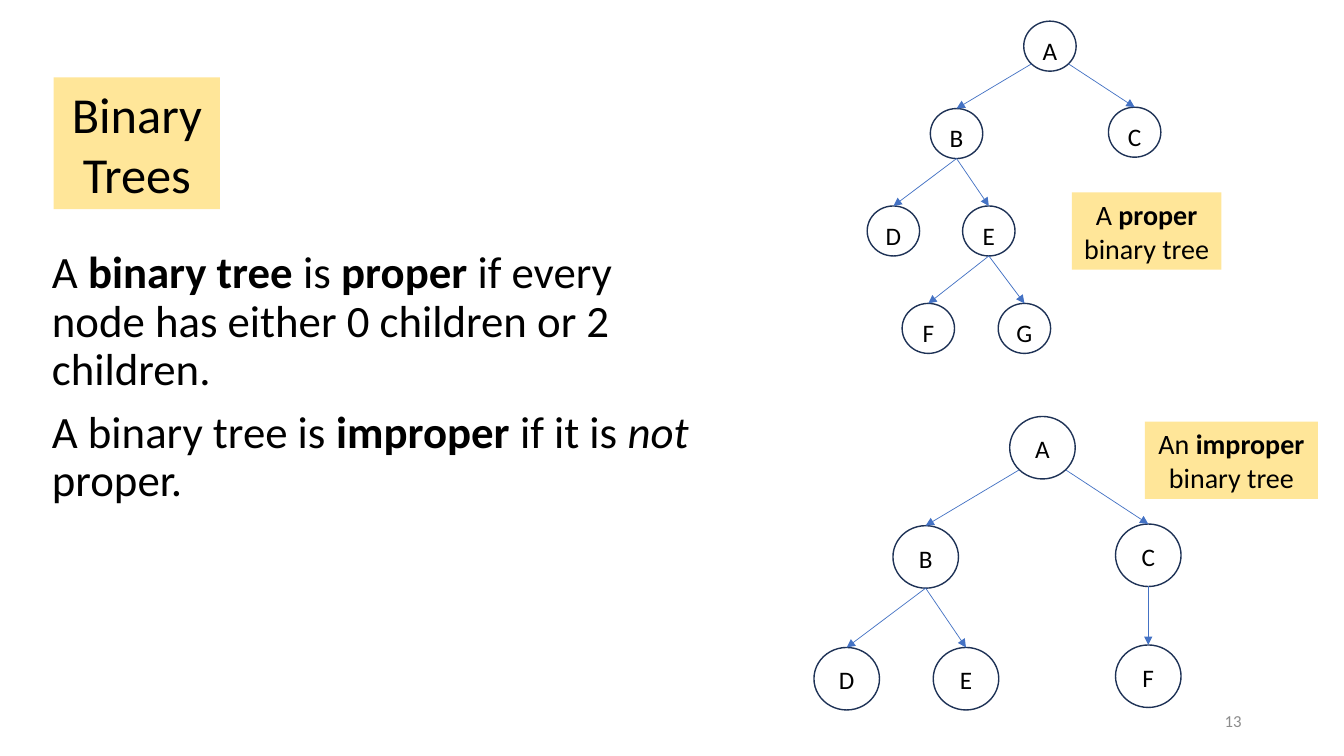
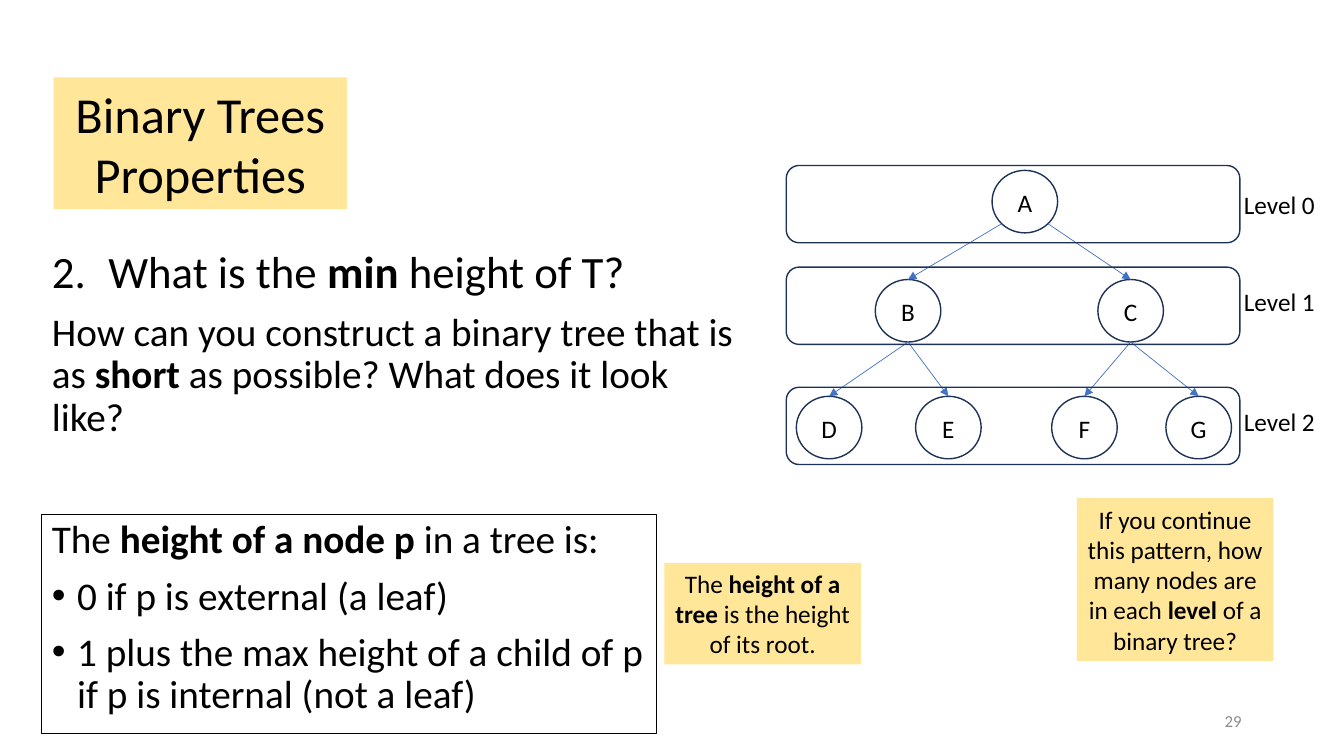
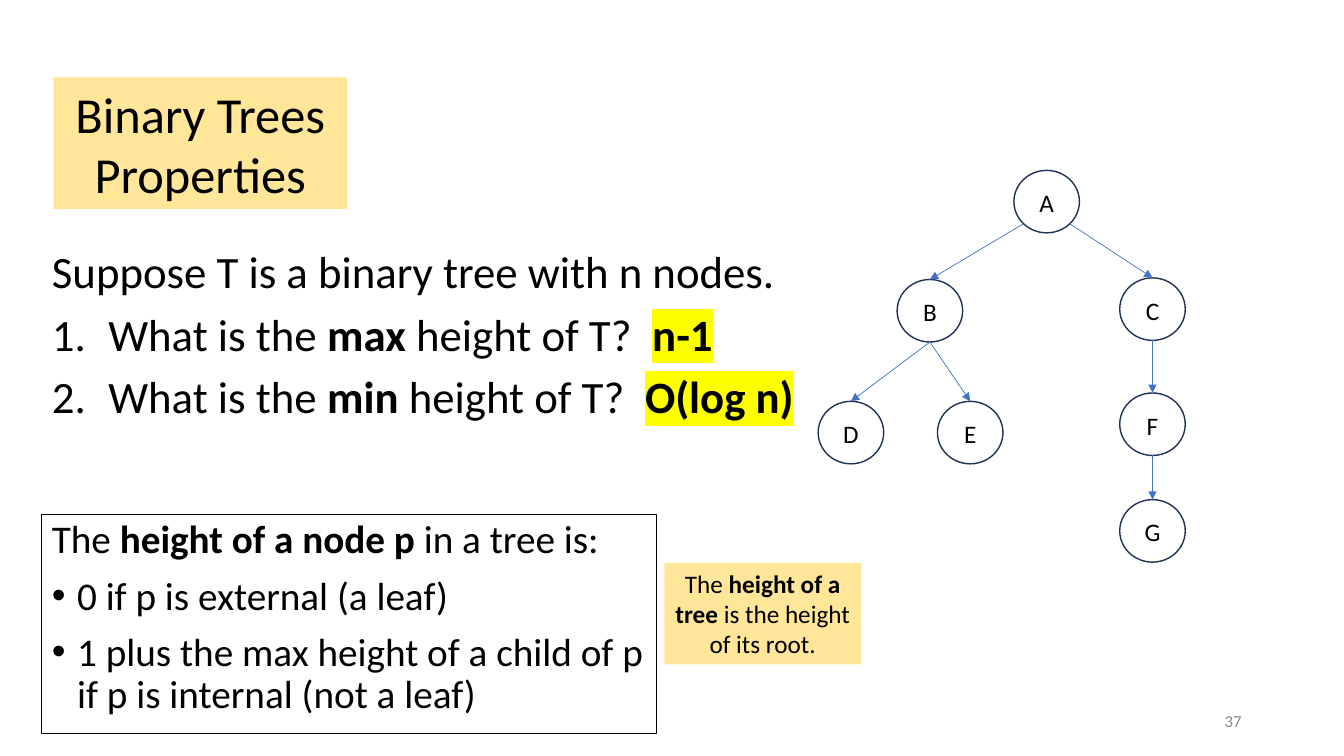
from lxml.etree import SubElement
from pptx import Presentation
from pptx.dml.color import RGBColor
from pptx.enum.shapes import MSO_CONNECTOR, MSO_SHAPE
from pptx.enum.text import MSO_ANCHOR, PP_ALIGN
from pptx.oxml.ns import qn
from pptx.util import Inches, Pt

COLORS = {
    "ink": "000000",
    "note": "FFE699",
    "node": "1E3256",
    "edge": "4472C4",
    "page": "8C8C8C",
    "marker": "FFFF00",
}
FONT = "Calibri"
COLUMNS, ROWS = 160, 90
NODE_WIDTH, NODE_HEIGHT = 7.8, 7.44
DIAGONAL = 0.71

TOP_FORK = [("A", "B", -13.9, 13), ("A", "C", 12.6, 12.8)]
LEFT_FORK = [("B", "D", -9.4, 14.5), ("B", "E", 4.8, 14.5)]
LOWER_FORK = [("E", "F", -9, 14.5), ("E", "G", 5.3, 14.5)]
FULL_LEVELS = [
    ("A", "B", -13.9, 13), ("A", "C", 12.6, 13),
    ("B", "D", -9.4, 13.9), ("B", "E", 4.8, 13.9),
    ("C", "F", -5.5, 13.9), ("C", "G", 8.1, 13.9),
]

HEIGHT_DEFINITION = [
    (["The ", ("height of a node p ", "b"), "in a tree is:"], {}),
    (["0 if p is external (a leaf)"], {"bullet": "•"}),
    (["1 plus the max height of a child of p", "\n", "if p is internal (not a leaf)"],
     {"bullet": "•"}),
]
TREE_HEIGHT = ["The ", ("height of a tree ", "b"), "is the height of its root."]


def color(name):
    return RGBColor.from_string(COLORS[name])


class Deck:
    def __init__(self):
        self.show = Presentation()
        self.show.slide_width, self.show.slide_height = Inches(13.33), Inches(7.5)
        self.column = self.show.slide_width / COLUMNS
        self.row = self.show.slide_height / ROWS

    def start(self, title, title_width, number):
        self.slide = self.show.slides.add_slide(self.show.slide_layouts[6])
        self.note((6.4, 9.2, title_width, 15.7), [title], 36)
        page = self.text_box((113, 83.4, 36, 4.8))
        page.vertical_anchor = MSO_ANCHOR.MIDDLE
        self.add_words(page.paragraphs[0], [str(number)], 12, PP_ALIGN.RIGHT, "page")

    def place(self, area):
        left, top, width, height = area
        return (round(left * self.column), round(top * self.row),
                round(width * self.column), round(height * self.row))

    def text_box(self, area, wrap=True):
        frame = self.slide.shapes.add_textbox(*self.place(area)).text_frame
        frame.word_wrap = wrap
        return frame

    def outline(self, kind, area, fill=None, line=None, weight=1):
        shape = self.slide.shapes.add_shape(kind, *self.place(area))
        shape.shadow.inherit = False
        if fill:
            shape.fill.solid()
            shape.fill.fore_color.rgb = color(fill)
        else:
            shape.fill.background()
        if line:
            shape.line.color.rgb = color(line)
            shape.line.width = Pt(weight)
        else:
            shape.line.fill.background()
        return shape

    def add_words(self, paragraph, pieces, size, align=PP_ALIGN.LEFT, ink="ink"):
        paragraph.alignment = align
        for piece in pieces:
            if piece == "\n":
                paragraph.add_line_break()
                continue
            words, style = (piece, "") if isinstance(piece, str) else piece
            run = paragraph.add_run()
            run.text = words
            font = run.font
            font.name, font.size = FONT, Pt(size)
            font.bold, font.italic = "b" in style, "i" in style
            font.color.rgb = color(ink)
            if "h" in style:
                properties = run._r.get_or_add_rPr()
                highlight = SubElement(properties, qn("a:highlight"))
                SubElement(highlight, qn("a:srgbClr"), val=COLORS["marker"])
                properties.find(qn("a:solidFill")).addnext(highlight)

    def list_mark(self, paragraph, bullet=None, number=None):
        properties = paragraph._p.get_or_add_pPr()
        indent = Inches(0.25 if bullet else 0.56)
        properties.set("marL", str(indent))
        properties.set("indent", str(-indent))
        if bullet:
            SubElement(properties, qn("a:buFont"), typeface="Arial")
            SubElement(properties, qn("a:buChar"), char=bullet)
        else:
            SubElement(properties, qn("a:buAutoNum"), type="arabicPeriod", startAt=str(number))

    def prose(self, frame, lines, size):
        frame.word_wrap = True
        frame.vertical_anchor = MSO_ANCHOR.TOP
        for index, (pieces, options) in enumerate(lines):
            paragraph = frame.add_paragraph() if index else frame.paragraphs[0]
            paragraph.line_spacing = 0.9
            paragraph.space_before = Pt(10)
            marks = {key: options[key] for key in ("bullet", "number") if key in options}
            if marks:
                self.list_mark(paragraph, **marks)
            self.add_words(paragraph, pieces, options.get("size", size))

    def body(self, width, height, lines):
        self.prose(self.text_box((5, 29.2, width, height)), lines, 32)

    def note(self, area, pieces, size=18):
        frame = self.outline(MSO_SHAPE.RECTANGLE, area, fill="note").text_frame
        frame.word_wrap = True
        frame.vertical_anchor = MSO_ANCHOR.MIDDLE
        self.add_words(frame.paragraphs[0], pieces, size, PP_ALIGN.CENTER)

    def height_notes(self):
        definition = self.outline(MSO_SHAPE.RECTANGLE, (5, 61.3, 73.2, 26), line="ink", weight=0.75)
        self.prose(definition.text_frame, HEIGHT_DEFINITION, 28)
        self.note((79.1, 67, 23.4, 12.1), TREE_HEIGHT)

    def level(self, name, top, label_top):
        self.outline(MSO_SHAPE.ROUNDED_RECTANGLE, (93.6, top, 54, 9.2), line="node")
        label = self.text_box((146.9, label_top, 11, 4.8), wrap=False)
        self.add_words(label.paragraphs[0], [name], 18)

    def node(self, letter, center, scale, drop):
        width, height = NODE_WIDTH * scale, NODE_HEIGHT * scale
        area = (center[0] - width / 2, center[1] - height / 2, width, height)
        circle = self.outline(MSO_SHAPE.OVAL, area, line="node")
        frame = circle.text_frame
        frame.margin_left = frame.margin_right = frame.margin_bottom = 0
        frame.margin_top = Inches(drop)
        frame.word_wrap = False
        frame.vertical_anchor = MSO_ANCHOR.MIDDLE
        self.add_words(frame.paragraphs[0], [letter], 18, PP_ALIGN.CENTER)
        return circle

    def edge(self, start, child):
        left, top, _, _ = self.place((*start, 0, 0))
        arrow = self.slide.shapes.add_connector(
            MSO_CONNECTOR.STRAIGHT, left, top, child.left + child.width // 2, child.top)
        arrow.end_connect(child, 0)
        arrow.line.color.rgb = color("edge")
        arrow.line.width = Pt(0.5)
        SubElement(arrow.line._get_or_add_ln(), qn("a:tailEnd"), type="triangle")
        SubElement(arrow._element.spPr, qn("a:effectLst"))

    def tree(self, root, branches, scale=1, drop=0.02):
        centers = {"A": root}
        circles = {"A": self.node("A", root, scale, drop)}
        for parent, child, across, down in branches:
            x, y = centers[parent]
            centers[child] = (x + across * scale, y + down * scale)
            circles[child] = self.node(child, centers[child], scale, drop)
            reach = NODE_HEIGHT / 2 * scale
            if parent == "A":
                side = 1 if across > 0 else -1
                start = (x + side * DIAGONAL * NODE_WIDTH / 2 * scale, y + DIAGONAL * reach)
            else:
                start = (x, y + reach)
            self.edge(start, circles[child])


def main():
    deck = Deck()

    deck.start("Binary Trees", 19.8, 13)
    deck.body(79, 45.5, [
        (["A ", ("binary tree ", "b"), "is ", ("proper", "b"),
          " if every node has either 0 children or 2 children."], {}),
        (["A binary tree is ", ("improper", "b"), " if it is ", ("not", "i"), " proper."], {}),
    ])
    deck.tree((125, 5.5), TOP_FORK + LEFT_FORK + LOWER_FORK, scale=0.8, drop=0.08)
    deck.note((127.6, 22.9, 17.8, 9.2), ["A ", ("proper", "b"), " binary tree"], 20)
    deck.tree((124.1, 53.3), TOP_FORK + LEFT_FORK + [("C", "F", 0, 14.4)])
    deck.note((136.3, 50.2, 20.6, 9.2), ["An ", ("improper", "b"), " binary tree"], 20)

    deck.start("Binary Trees Properties", 34.9, 29)
    deck.body(85.2, 26, [
        (["What is the ", ("min", "b"), " height of T?"], {"number": 2}),
        (["How can you construct a binary tree that is as ", ("short", "b"),
          " as possible? What does it look like?"], {"size": 28}),
    ])
    deck.height_notes()
    deck.tree((122, 24), FULL_LEVELS)
    for depth, (top, label_top) in enumerate([(19.7, 22), (31.8, 33.5), (46.1, 47.8)]):
        deck.level(f"Level {depth}", top, label_top)
    deck.note((128.2, 59.3, 23.4, 19.4), [
        "If you continue this pattern, how many nodes are in each ", ("level", "b"),
        " of a binary tree?"])

    deck.start("Binary Trees Properties", 34.9, 37)
    answers = [("max", "n-1"), ("min", "O(log n)")]
    deck.body(92.6, 45.5, [(["Suppose T is a binary tree with n nodes."], {})] + [
        (["What is the ", (bound, "b"), " height of T?  ", (answer, "bh")], {"number": 1})
        for bound, answer in answers
    ])
    deck.tree((124.6, 24), TOP_FORK + LEFT_FORK + [("C", "F", 0, 13.7), ("F", "G", 0, 12.7)])
    deck.height_notes()

    deck.show.save("out.pptx")


if __name__ == "__main__":
    main()
